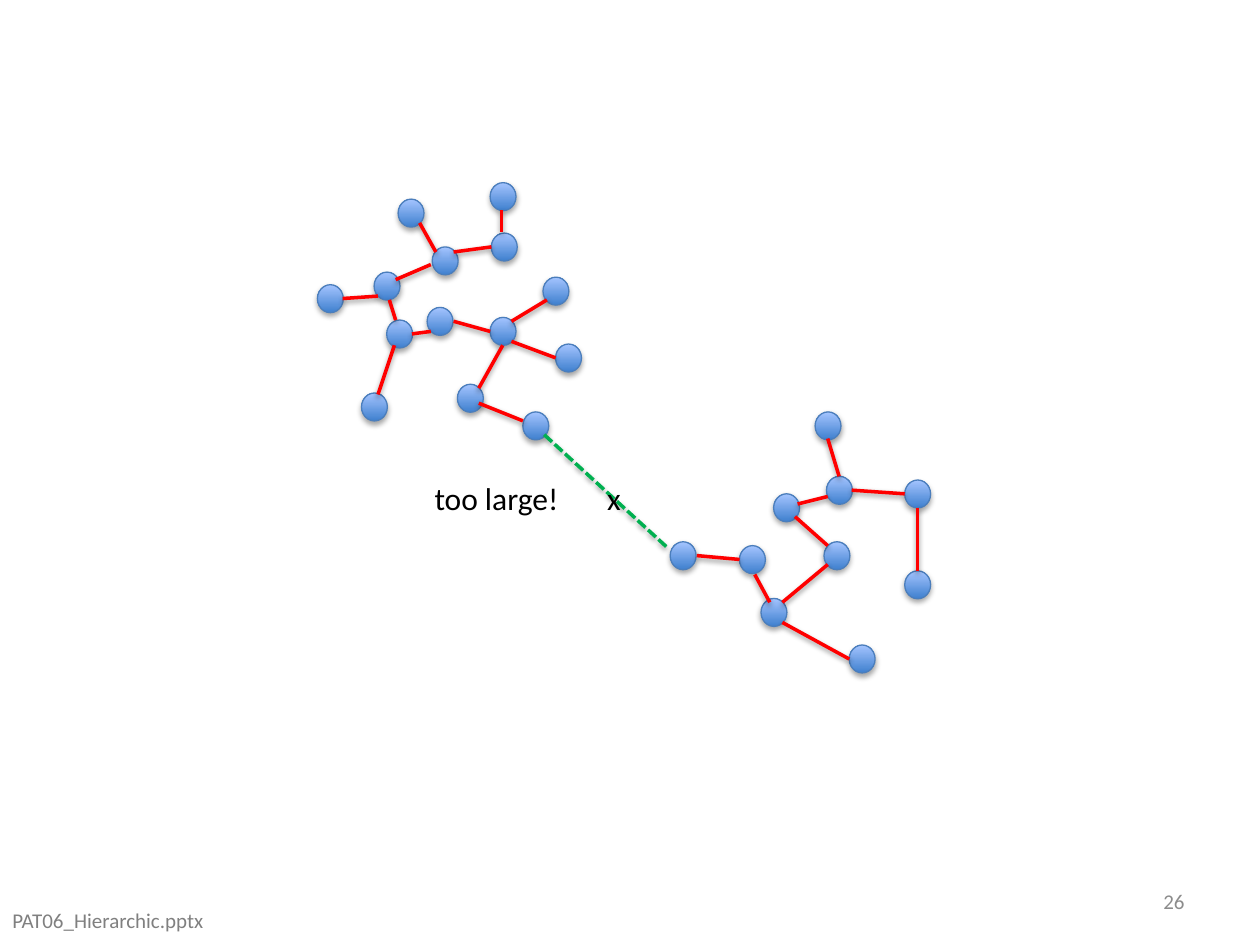
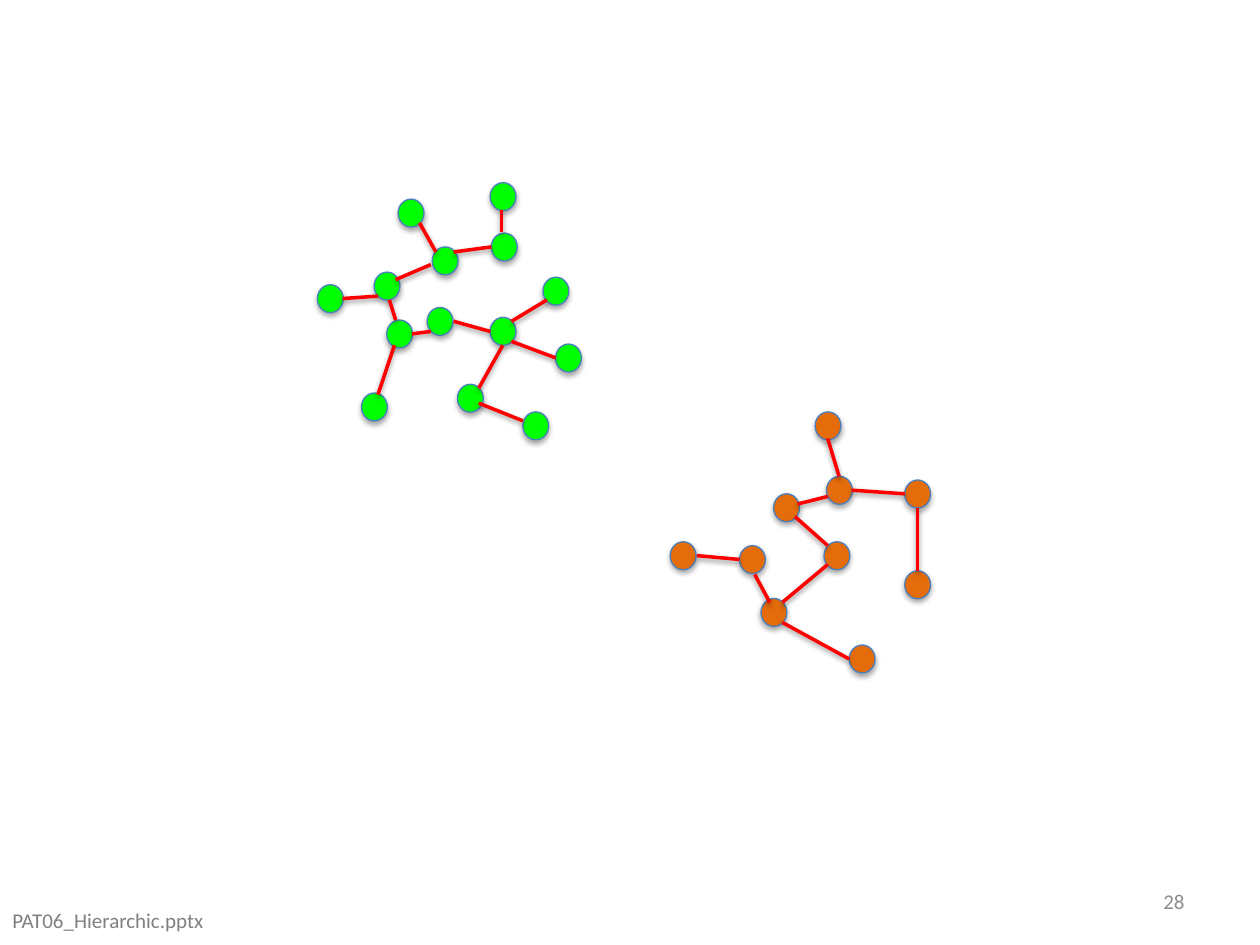
from lxml.etree import SubElement
from pptx import Presentation
from pptx.dml.color import RGBColor
from pptx.enum.dml import MSO_LINE_DASH_STYLE as Dash
from pptx.enum.shapes import MSO_CONNECTOR as Connector, MSO_SHAPE as Shape
from pptx.enum.text import MSO_ANCHOR as Anchor, PP_ALIGN as Align
from pptx.oxml.ns import qn
from pptx.util import Pt

FONT = "Calibri"
BLACK, GRAY, NUMBER_GRAY = "000000", "808080", "8C8C8C"
RED, DASH_GREEN, OUTLINE = "FF0000", "00B050", "4B7EBC"
BLUE_GRADIENT = ("3F80CE", "A4C4FF")
NODE_WIDTH, NODE_HEIGHT = 14.8, 16

# Left and top of each node
UPPER_CLUSTER = [
    (317.5, 196.6), (244.1, 175.7), (280.8, 133.2), (280.1, 104.4),
    (310.3, 158.4), (261.4, 219.6), (247, 141.1), (206.6, 224.6),
    (298.8, 235.4), (181.4, 162.7), (227.5, 113.8), (221, 182.9),
    (213.8, 155.5), (280.1, 181.4),
]
LOWER_CLUSTER = [
    (472.3, 272.2), (517, 326.2), (442.1, 282.2), (465.8, 235.4),
    (470.9, 309.6), (422.6, 311.8), (485.3, 368.6), (517, 274.3),
    (383, 309.6), (434.9, 342),
]

# Start x, start y, end x, end y
TREE_EDGES = [
    (222.5, 171.4, 226.1, 182.9), (286.6, 120.2, 286.6, 132.5),
    (235.4, 190.8, 246.2, 189.4), (239.8, 127.4, 249.1, 144),
    (195.8, 170.6, 216, 169.2), (259.2, 144, 280.8, 141.1),
    (226.1, 159.8, 246.2, 151.2), (259.2, 183.6, 280.1, 189.4),
    (292.3, 183.6, 312.5, 171.4), (273.6, 230.4, 298.8, 240.5),
    (292.3, 195.1, 317.5, 204.5), (216, 225.4, 225.4, 197.3),
    (273.6, 221.8, 287.3, 197.3),
    (431.3, 328.3, 439.9, 344.2), (455.8, 288, 473, 283.7),
    (479.5, 272.2, 473, 250.6), (454.3, 295.2, 473, 311.8),
    (398.2, 317.5, 422.6, 319.7), (486.7, 280.1, 517, 282.2),
    (524.2, 290.2, 524.2, 326.2), (447.1, 344.2, 473, 322.6),
    (447.1, 355.7, 485.3, 376.6),
]
LONG_EDGE = (311, 248.4, 380.9, 312.5)

SLIDES = [
    {"number": "26", "upper": BLUE_GRADIENT, "lower": BLUE_GRADIENT, "too_large": True},
    {"number": "28", "upper": "00FF00", "lower": "E46C0A", "too_large": False},
]


def color(value):
    return RGBColor.from_string(value)


def add_shadow(shape, distance, opacity):
    """Add a soft downward shadow; call it after the fill and line are set."""
    effects = SubElement(shape._element.spPr, qn("a:effectLst"))
    shadow = SubElement(effects, qn("a:outerShdw"), blurRad=str(Pt(3.1)),
                        dist=str(Pt(distance)), dir="5400000", rotWithShape="0")
    black = SubElement(shadow, qn("a:srgbClr"), val=BLACK)
    SubElement(black, qn("a:alpha"), val=str(opacity * 1000))


def add_node(slide, left, top, fill):
    """Draw a node; fill is one colour or a pair running from bottom to top."""
    node = slide.shapes.add_shape(Shape.OVAL, Pt(left), Pt(top),
                                  Pt(NODE_WIDTH), Pt(NODE_HEIGHT))
    if isinstance(fill, tuple):
        node.fill.gradient()
        node.fill.gradient_angle = 90
        for stop, value in zip(node.fill.gradient_stops, fill):
            stop.color.rgb = color(value)
    else:
        node.fill.solid()
        node.fill.fore_color.rgb = color(fill)
    node.line.color.rgb = color(OUTLINE)
    node.line.width = Pt(0.75)
    add_shadow(node, 1.8, 35)


def add_edge(slide, ends, line_color=RED, dash=None):
    edge = slide.shapes.add_connector(Connector.STRAIGHT, *map(Pt, ends))
    edge.line.color.rgb = color(line_color)
    edge.line.width = Pt(2)
    if dash:
        edge.line.dash_style = dash
    add_shadow(edge, 1.6, 38)


def add_text(slide, text, box, size, text_color, align=Align.LEFT,
             anchor=Anchor.TOP, tab=None):
    frame = slide.shapes.add_textbox(*map(Pt, box)).text_frame
    frame.word_wrap = True
    frame.vertical_anchor = anchor
    frame.text = text
    paragraph = frame.paragraphs[0]
    paragraph.alignment = align
    if tab:
        tabs = SubElement(paragraph._p.get_or_add_pPr(), qn("a:tabLst"))
        SubElement(tabs, qn("a:tab"), pos=str(Pt(tab)), algn="l")
    for run in paragraph.runs:
        run.font.name = FONT
        run.font.size = Pt(size)
        run.font.color.rgb = color(text_color)


def add_footer(slide, number):
    add_text(slide, "PAT06_Hierarchic.pptx", (0, 514.8, 130, 21.6), 12, GRAY)
    add_text(slide, number, (516, 500.4, 168, 28.8), 12, NUMBER_GRAY,
             Align.RIGHT, Anchor.MIDDLE)


def build_slide(presentation, content):
    slide = presentation.slides.add_slide(presentation.slide_layouts[6])
    for cluster, fill in ((UPPER_CLUSTER, content["upper"]),
                          (LOWER_CLUSTER, content["lower"])):
        for left, top in cluster:
            add_node(slide, left, top, fill)
    for ends in TREE_EDGES:
        add_edge(slide, ends)
    if content["too_large"]:
        add_edge(slide, LONG_EDGE, DASH_GREEN, Dash.SQUARE_DOT)
        add_text(slide, "too large!\tx", (241.2, 270, 126, 28.8), 18, BLACK, tab=98.6)
    add_footer(slide, content["number"])


def main():
    presentation = Presentation()
    presentation.slide_width, presentation.slide_height = Pt(720), Pt(540)
    for content in SLIDES:
        build_slide(presentation, content)
    presentation.save("out.pptx")


if __name__ == "__main__":
    main()
